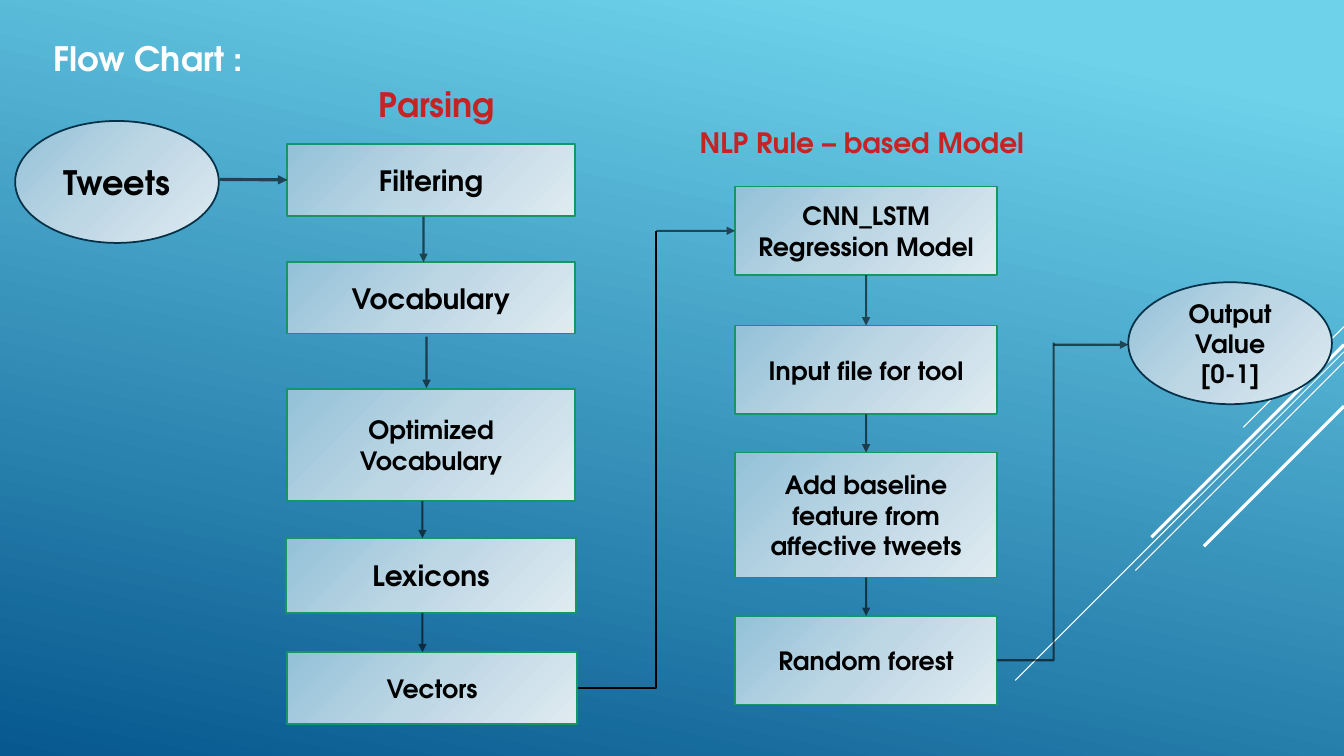
import copy

import pptx
import pptx.util
from pptx.dml.color import RGBColor
from pptx.enum.shapes import MSO_CONNECTOR, MSO_SHAPE
from pptx.enum.text import MSO_ANCHOR, MSO_AUTO_SIZE, PP_ALIGN
from pptx.oxml.ns import qn
from pptx.oxml.xmlchemy import OxmlElement
from pptx.util import Inches

FONT = "TeX Gyre Adventor"
BLACK, WHITE, RED = "000000", "FFFFFF", "C62324"
GREEN, NAVY = "149666", "043148"
BACKGROUND = [(10, "6ED2EB"), (100, "06588E")]
NODE_FILL = [(0, "93C1D8"), (50, "BED7E5"), (100, "E0EBF1")]

# Diagonal accents at 45 degrees: top y at the right edge, run, width
ACCENTS = [(3.24, 1.0, 0.75), (3.49, 3.26, 0.75), (3.59, 2.07, 0.75),
           (3.42, 1.91, 2.25), (4.03, 1.39, 2.25)]

# Text, size, left, top, width, height
PARSING = [
    ("Filtering", 20, 2.85, 1.43, 2.85, 0.71),
    ("Vocabulary", 20, 2.85, 2.6, 2.85, 0.71),
    ("Optimized Vocabulary", 18, 2.85, 3.86, 2.85, 1.11),
    ("Lexicons", 20, 2.84, 5.34, 2.87, 0.74),
    ("Vectors", 18, 2.85, 6.47, 2.87, 0.71),
]
MODEL_LEFT, MODEL_WIDTH = 7.29, 2.6
MODEL = [  # Text, top, height
    ("CNN_LSTM Regression Model", 1.85, 0.88),
    ("Input file for tool", 3.23, 0.88),
    ("Add baseline feature from affective tweets", 4.49, 1.24),
    ("Random forest", 6.11, 0.88),
]
ENDS = [
    ("Tweets", 24, 0.15, 1.2, 2.02, 1.21),
    ("Output Value\n[0-1]", 18, 11.19, 2.8, 2.02, 1.21),
]
PARSING_ARROWS = [(4.2, 2.15, 2.6), (4.23, 3.34, 3.85),
                  (4.19, 4.97, 5.34), (4.19, 6.08, 6.47)]  # x, top, bottom
HEADINGS = [
    ("Parsing", 24, RED, 3.66, 0.78, 1.7, 0.5),
    ("NLP Rule – based Model", 20, RED, 6.84, 1.2, 3.5, 0.44),
    ("Flow Chart :", 24, WHITE, 0.43, 0.33, 4.49, 0.5),
]

prs = pptx.Presentation()
prs.slide_width, prs.slide_height = Inches(13.33), Inches(7.5)
s = prs.slides.add_slide(prs.slide_layouts[6])


def rgb(value):
    return RGBColor.from_string(value)


def set_gradient(fill, element, stops, angle):
    """Fill with (percent, colour) stops; angle runs clockwise."""
    fill.gradient()
    fill.gradient_angle = 360 - angle
    stop_list = element.find(".//" + qn("a:gsLst"))
    while len(stop_list) < len(stops):
        stop_list.append(copy.deepcopy(stop_list[0]))
    for stop, (percent, colour) in zip(fill.gradient_stops, stops):
        stop.position = percent / 100
        stop.color.rgb = rgb(colour)


def write(tf, text, size, colour, align):
    tf.word_wrap = True
    for i, line in enumerate(text.split("\n")):
        p = tf.paragraphs[0] if i == 0 else tf.add_paragraph()
        p.alignment = align
        r = p.add_run()
        r.text = line
        r.font.name, r.font.size, r.font.bold = FONT, pptx.util.Pt(size), True
        r.font.color.rgb = rgb(colour)


def add_node(kind, outline, text, size, *box):
    sp = s.shapes.add_shape(kind, *map(Inches, box))
    sp.shadow.inherit = False
    set_gradient(sp.fill, sp.element, NODE_FILL, 45)
    sp.line.color.rgb = rgb(outline)
    sp.line.width = pptx.util.Pt(1.25)
    sp.text_frame.vertical_anchor = MSO_ANCHOR.MIDDLE
    write(sp.text_frame, text, size, BLACK, PP_ALIGN.CENTER)
    return sp


def add_line(start, end, width=1.5, colour=BLACK, opacity=60, arrow=True, bent=False):
    kind = MSO_CONNECTOR.ELBOW if bent else MSO_CONNECTOR.STRAIGHT
    line = s.shapes.add_connector(kind, *map(Inches, start + end))
    props = line.element.spPr
    if bent:
        props.find(qn("a:prstGeom")).set("prst", "bentConnector2")
    line.line.width = pptx.util.Pt(width)
    line.line.color.rgb = rgb(colour)
    if opacity < 100:
        alpha = OxmlElement("a:alpha")
        alpha.set("val", str(opacity * 1000))
        props.find(".//" + qn("a:srgbClr")).append(alpha)
    if arrow:
        head = OxmlElement("a:tailEnd")
        head.set("type", "triangle")
        props.find(qn("a:ln")).append(head)
    props.append(OxmlElement("a:effectLst"))
    return line


set_gradient(s.background.fill, s.element, BACKGROUND, 102)
for top, run, width in ACCENTS:
    add_line((13.33, top), (13.33 - run, top + run), width, WHITE, 100, arrow=False)

parsing = [add_node(MSO_SHAPE.RECTANGLE, GREEN, *row) for row in PARSING]
model = [add_node(MSO_SHAPE.RECTANGLE, GREEN, text, 18, MODEL_LEFT, top, MODEL_WIDTH, height)
         for text, top, height in MODEL]
for row in ENDS:
    add_node(MSO_SHAPE.OVAL, NAVY, *row)

add_line((2.18, 1.78), (2.85, 1.78), 2.25).end_connect(parsing[0], 1)
for x, top, bottom in PARSING_ARROWS:
    add_line((x, top), (x, bottom))

centre = MODEL_LEFT + MODEL_WIDTH / 2
for upper, lower, (_, top, height), (_, next_top, _) in zip(model, model[1:], MODEL, MODEL[1:]):
    arrow = add_line((centre, top + height), (centre, next_top))
    arrow.begin_connect(upper, 2)
    arrow.end_connect(lower, 0)

add_line((9.89, 6.55), (10.45, 3.4), arrow=False, bent=True)
add_line((5.73, 6.83), (6.51, 2.29), opacity=100, arrow=False, bent=True)
add_line((6.51, 2.29), (7.29, 2.29)).end_connect(model[0], 1)
add_line((10.45, 3.42), (11.19, 3.42))

for text, size, colour, *box in HEADINGS:
    tf = s.shapes.add_textbox(*map(Inches, box)).text_frame
    tf.auto_size = MSO_AUTO_SIZE.SHAPE_TO_FIT_TEXT
    write(tf, text, size, colour, PP_ALIGN.LEFT)

prs.save("out.pptx")
